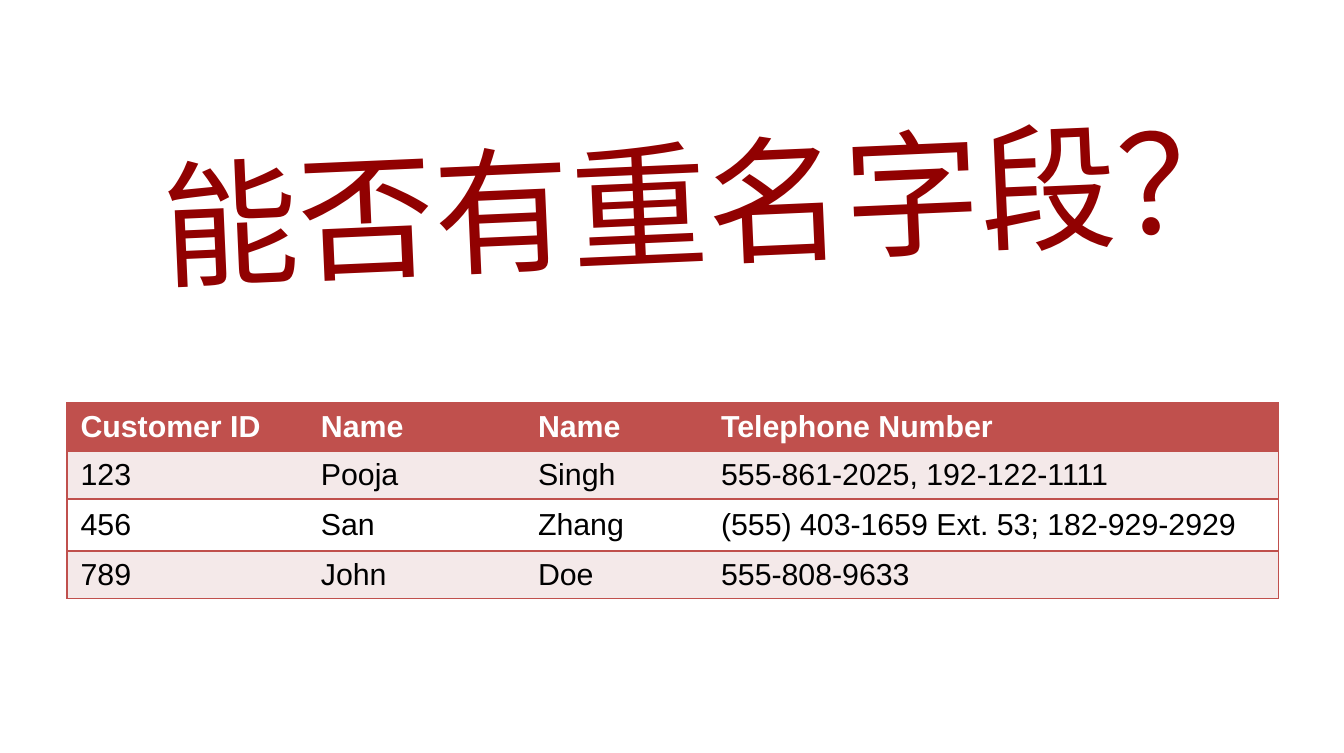
from lxml import etree
from pptx import Presentation
from pptx import util as u
from pptx.dml.color import RGBColor
from pptx.enum import text
from pptx.oxml.ns import qn

PX = u.Inches(1) // 100
RED = RGBColor(0xC0, 0x50, 0x4D)
PINK = RGBColor(0xF4, 0xE9, 0xE9)
DARK_RED = RGBColor(0x91, 0x01, 0x01)
WHITE = RGBColor(0xFF, 0xFF, 0xFF)
BLACK = RGBColor(0, 0, 0)

TITLE = {"name": "Arial", "size": u.Pt(72)}
HEADER = {"name": "Arial", "size": u.Pt(16), "bold": True}
BODY = {**HEADER, "bold": False}

COLUMNS = [176, 159, 134, 418]
ROW_HEIGHTS = [35, 35, 38, 35]
CUSTOMERS = [
    ["Customer ID", "Name", "Name", "Telephone Number"],
    ["123", "Pooja", "Singh", "555-861-2025, 192-122-1111"],
    ["456", "San", "Zhang", "(555) 403-1659 Ext. 53; 182-929-2929"],
    ["789", "John", "Doe", "555-808-9633"],
]


def px(*lengths):
    return [u.Emu(n * PX) for n in lengths]


def write(tf, words, fmt, color):
    p = tf.paragraphs[0]
    r = p.add_run()
    r.text = words
    for key, value in fmt.items():
        setattr(r.font, key, value)
    r.font.color.rgb = color
    return p


def add_title(s, words, box, rotation):
    sp = s.shapes.add_textbox(*px(*box))
    sp.rotation = rotation
    tf = sp.text_frame
    tf.word_wrap = False
    tf.auto_size = text.MSO_AUTO_SIZE.SHAPE_TO_FIT_TEXT
    write(tf, words, TITLE, DARK_RED).alignment = text.PP_ALIGN.CENTER


def set_borders(cell, sides):
    tc_pr = cell._tc.get_or_add_tcPr()
    for side in "LRTB":
        ln = etree.SubElement(tc_pr, qn(f"a:ln{side}"), w=str(u.Pt(1)))
        if side in sides:
            fill = etree.SubElement(ln, qn("a:solidFill"))
            etree.SubElement(fill, qn("a:srgbClr"), val=str(RED))
        else:
            etree.SubElement(ln, qn("a:noFill"))


def add_table(s, left, top, rows, widths, heights):
    box = px(left, top, sum(widths), sum(heights))
    table = s.shapes.add_table(len(rows), len(widths), *box).table
    for column, width in zip(table.columns, px(*widths)):
        column.width = width
    for row, height in zip(table.rows, px(*heights)):
        row.height = height
    last = len(widths) - 1
    for i, row in enumerate(rows):
        fill = RED if i == 0 else PINK if i % 2 else WHITE
        fmt, color = (BODY, BLACK) if i else (HEADER, WHITE)
        for j, words in enumerate(row):
            cell = table.cell(i, j)
            cell.vertical_anchor = text.MSO_ANCHOR.MIDDLE
            set_borders(cell, "TB" + "L" * (j == 0) + "R" * (j == last))
            cell.fill.solid()
            cell.fill.fore_color.rgb = fill
            write(cell.text_frame, words, fmt, color)


def main():
    prs = Presentation()
    prs.slide_width, prs.slide_height = px(984, 551)
    s = prs.slides.add_slide(prs.slide_layouts[6])
    add_table(s, 49, 295, CUSTOMERS, COLUMNS, ROW_HEIGHTS)
    add_title(s, "能否有重名字段？", (104, 81, 828, 131), 357.5)
    prs.save("out.pptx")


if __name__ == "__main__":
    main()
